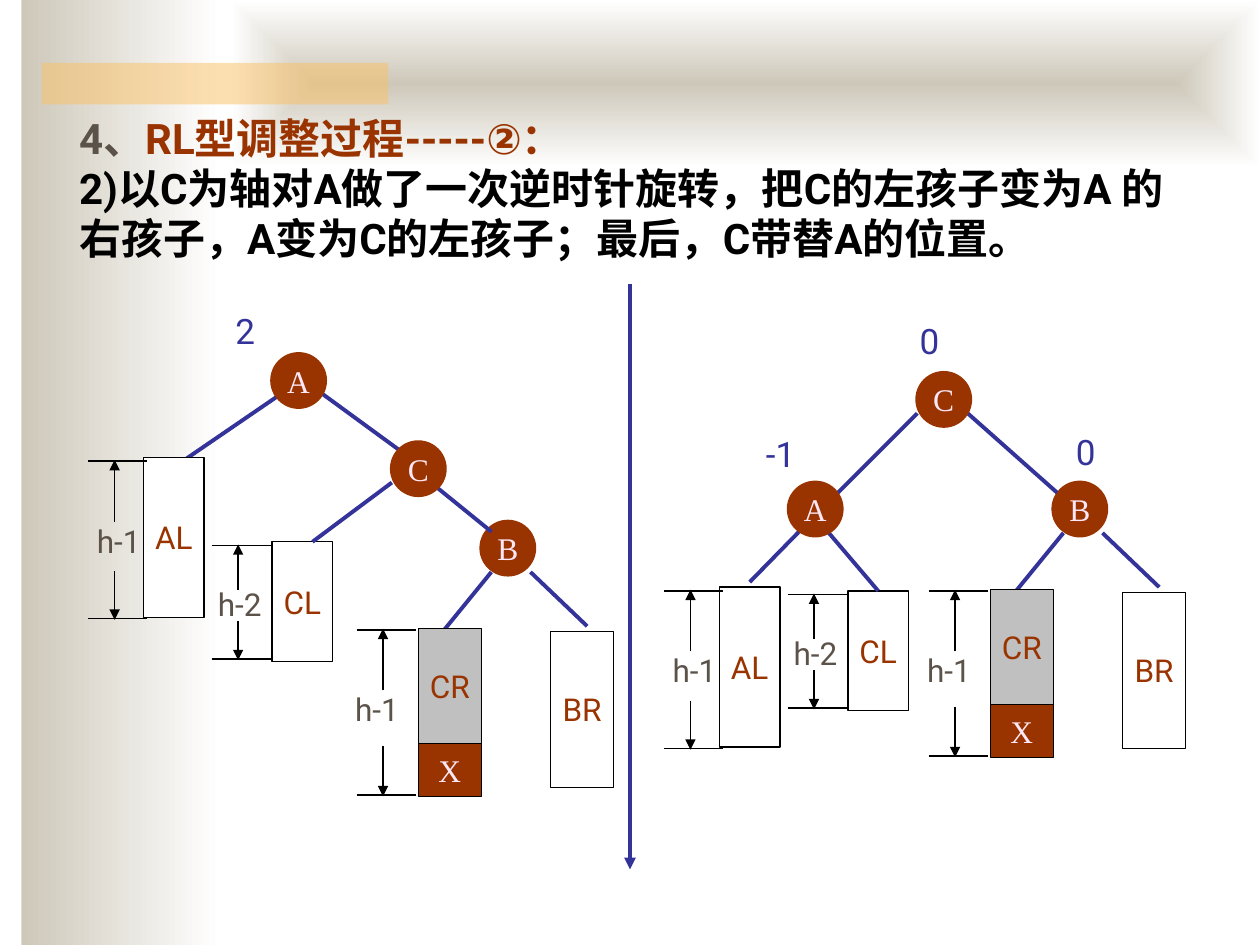
from lxml import etree
from pptx import Presentation
from pptx.dml.color import RGBColor
from pptx.enum.shapes import MSO_CONNECTOR, MSO_SHAPE
from pptx.enum.text import MSO_ANCHOR, MSO_AUTO_SIZE, PP_ALIGN
from pptx.oxml import parse_xml
from pptx.oxml.ns import nsdecls, qn
from pptx.util import Inches, Pt

SANS, SERIF, CHINESE = "Roboto", "Times New Roman", "Noto Sans CJK SC"
BROWN, BLUE, GREY, BLACK, WHITE = "993300", "333399", "5B5249", "000000", "FFFFFF"
PINK, SILVER, BEIGE, GOLD = "FEE8F7", "C0C0C0", "CEC8BA", "FAC164"
NODE = 0.42


def color(hex_string):
    return RGBColor.from_string(hex_string)


def add_run(paragraph, text, size, font, text_color, bold=False, east_asian=None):
    run = paragraph.add_run()
    run.text = text
    run.font.size = Pt(size)
    run.font.name = font
    run.font.bold = bold
    run.font.color.rgb = color(text_color)
    if east_asian:
        latin = run.font._element.find(qn("a:latin"))
        latin.addnext(parse_xml(f'<a:ea {nsdecls("a")} typeface="{east_asian}"/>'))


def add_text_box(slide, left, top, width, height):
    """Add an empty wrapping text box and return its first paragraph."""
    box = slide.shapes.add_textbox(Inches(left), Inches(top), Inches(width), Inches(height))
    box.text_frame.word_wrap = True
    box.text_frame.auto_size = MSO_AUTO_SIZE.SHAPE_TO_FIT_TEXT
    return box.text_frame.paragraphs[0]


def add_shape(slide, kind, left, top, width, height, fill=None, line=None, line_width=0.75):
    shape = slide.shapes.add_shape(
        kind, Inches(left), Inches(top), Inches(width), Inches(height))
    shape.shadow.inherit = False
    if fill:
        shape.fill.solid()
        shape.fill.fore_color.rgb = color(fill)
    else:
        shape.fill.background()
    if line:
        shape.line.color.rgb = color(line)
        shape.line.width = Pt(line_width)
    else:
        shape.line.fill.background()
    return shape


def add_label(shape, text, font, text_color):
    frame = shape.text_frame
    frame.word_wrap = False
    frame.vertical_anchor = MSO_ANCHOR.MIDDLE
    paragraph = frame.paragraphs[0]
    paragraph.alignment = PP_ALIGN.CENTER
    add_run(paragraph, text, 18, font, text_color)


def add_line(slide, start, end, line_color=BLACK, width=0.75, arrow=False):
    connector = slide.shapes.add_connector(
        MSO_CONNECTOR.STRAIGHT, *(Inches(value) for value in (*start, *end)))
    connector.line.color.rgb = color(line_color)
    connector.line.width = Pt(width)
    if arrow:
        etree.SubElement(connector.line._get_or_add_ln(), qn("a:tailEnd"), type="triangle")
    etree.SubElement(connector._element.spPr, qn("a:effectLst"))
    return connector


def add_edge(slide, start, end):
    return add_line(slide, start, end, BLUE, 2.25)


def add_node(slide, text, left, top):
    node = add_shape(slide, MSO_SHAPE.OVAL, left, top, NODE, NODE, BROWN, BROWN, 2.25)
    add_label(node, text, SERIF, PINK)


def add_subtree_box(slide, text, left, top, width, height, fill=None,
                    font=SANS, text_color=BROWN):
    box = add_shape(slide, MSO_SHAPE.RECTANGLE, left, top, width, height, fill, BLACK)
    add_label(box, text, font, text_color)
    return box


def add_balance(slide, text, left, top):
    add_run(add_text_box(slide, left, top, 0.55, 0.43), text, 20, SANS, BLUE)


def add_height_mark(slide, text, left, top, bottom, label_left, label_drop, up, down):
    """Draw two ticks, an arrow of length up or down to each, and a label between."""
    for y in (top, bottom):
        add_line(slide, (left, y), (left + 0.47, y))
    axis = left + 0.21
    add_line(slide, (axis, top + up), (axis, top - 0.01), arrow=True)
    add_line(slide, (axis, bottom - down), (axis, bottom + 0.01), arrow=True)
    paragraph = add_text_box(slide, label_left, top + label_drop, 0.71, 0.4)
    add_run(paragraph, text, 18, SANS, GREY)


def add_al(slide, left, top):
    add_subtree_box(slide, "AL", left + 0.47, top, 0.48, 1.27, WHITE)
    add_height_mark(slide, "h-1", left + 0.03, top + 0.03, top + 1.28,
                    left, 0.43, 0.48, 0.38)


def add_cl(slide, left, top):
    box = add_subtree_box(slide, "CL", left + 0.53, top, 0.48, 0.95)
    add_height_mark(slide, "h-2", left + 0.05, top + 0.03, top + 0.93,
                    left, 0.26, 0.35, 0.3)
    return box


def add_b_subtree(slide, left, top):
    add_subtree_box(slide, "BR", left + 1.65, top + 0.87, 0.5, 1.24)
    add_edge(slide, (left + 1.49, top + 0.4), (left + 1.94, top + 0.83))
    add_edge(slide, (left + 1.18, top + 0.4), (left + 0.78, top + 0.89))
    add_subtree_box(slide, "CR", left + 0.6, top + 0.85, 0.5, 0.91, SILVER)
    add_subtree_box(slide, "X", left + 0.6, top + 1.76, 0.5, 0.42, BROWN, SERIF, PINK)
    add_height_mark(slide, "h-1", left + 0.11, top + 0.86, top + 2.17,
                    left, 0.43, 0.48, 0.39)
    add_node(slide, "B", left + 1.1, top)


def add_tree_before(slide, left, top):
    add_edge(slide, (left + 1.57, top + 0.71), (left + 0.78, top + 1.25))
    add_edge(slide, (left + 1.88, top + 0.71), (left + 2.51, top + 1.17))
    add_al(slide, left, top + 1.22)
    add_cl(slide, left + 0.96, top + 1.89)
    add_b_subtree(slide, left + 2.05, top + 1.73)
    add_edge(slide, (left + 2.75, top + 1.42), (left + 3.23, top + 1.81))
    add_edge(slide, (left + 2.44, top + 1.42), (left + 1.81, top + 1.89))
    add_node(slide, "A", left + 1.49, top + 0.4)
    add_node(slide, "C", left + 2.44, top + 1.1)
    add_balance(slide, "2", left + 1.1, top)


def add_tree_after(slide, left, top):
    add_edge(slide, (left + 1.18, top + 1.65), (left + 0.71, top + 2.13))
    add_al(slide, left, top + 2.17)
    cl_box = add_cl(slide, left + 0.96, top + 2.2)
    cl_edge = add_edge(slide, (left + 1.33, top + 1.73), (left + 1.73, top + 2.2))
    cl_edge.end_connect(cl_box, 0)
    add_b_subtree(slide, left + 2.02, top + 1.34)
    add_edge(slide, (left + 2.44, top + 0.79), (left + 3.15, top + 1.42))
    add_edge(slide, (left + 2.04, top + 0.79), (left + 1.41, top + 1.42))
    add_node(slide, "A", left + 1.02, top + 1.34)
    add_node(slide, "C", left + 2.04, top + 0.47)
    for text, x, y in (("0", 1.96, 0), ("-1", 0.74, 0.89), ("0", 3.2, 0.88)):
        add_balance(slide, text, left + x, top + y)


def add_gradient_panel(slide, left, top, width, height, from_center=False):
    panel = add_shape(slide, MSO_SHAPE.RECTANGLE, left, top, width, height)
    panel.fill.gradient()
    panel.fill.gradient_angle = 0
    for stop, stop_color in zip(panel.fill.gradient_stops, (BEIGE, WHITE)):
        stop.color.rgb = color(stop_color)
    if from_center:
        gradient = panel._element.spPr.find(qn("a:gradFill"))
        linear = gradient.find(qn("a:lin"))
        gradient.replace(linear, parse_xml(
            f'<a:path {nsdecls("a")} path="shape">'
            '<a:fillToRect l="50000" t="50000" r="50000" b="50000"/></a:path>'))


def add_background(slide):
    add_gradient_panel(slide, 0.17, 0, 1.58, 7.5)
    add_gradient_panel(slide, 1.83, 0, 8.17, 1.33, from_center=True)
    bar = add_shape(slide, MSO_SHAPE.RECTANGLE, 0.33, 0.5, 2.75, 0.33, GOLD)
    bar_color = bar._element.spPr.find(qn("a:solidFill")).find(qn("a:srgbClr"))
    etree.SubElement(bar_color, qn("a:alpha"), val="50000")


def add_heading(slide, left, top, width, height):
    paragraph = add_text_box(slide, left, top, width, height)
    add_run(paragraph, "4、", 24, SANS, GREY, True, CHINESE)
    add_run(paragraph, "RL型调整过程-----②：", 24, SANS, BROWN, True, CHINESE)
    paragraph.add_line_break()
    add_run(paragraph, "2)以C为轴对A做了一次逆时针旋转，把C的左孩子变为A 的右孩子，"
            "A变为C的左孩子；最后，C带替A的位置。", 24, SANS, BLACK, True)


def main():
    presentation = Presentation()
    presentation.slide_width, presentation.slide_height = Inches(10), Inches(7.5)
    slide = presentation.slides.add_slide(presentation.slide_layouts[6])
    add_background(slide)
    add_heading(slide, 0.53, 0.84, 8.94, 1.31)
    add_line(slide, (5, 2.25), (5, 6.9), BLUE, 2.25, arrow=True)
    add_tree_before(slide, 0.67, 2.41)
    add_tree_after(slide, 5.24, 2.49)
    presentation.save("out.pptx")


if __name__ == "__main__":
    main()
